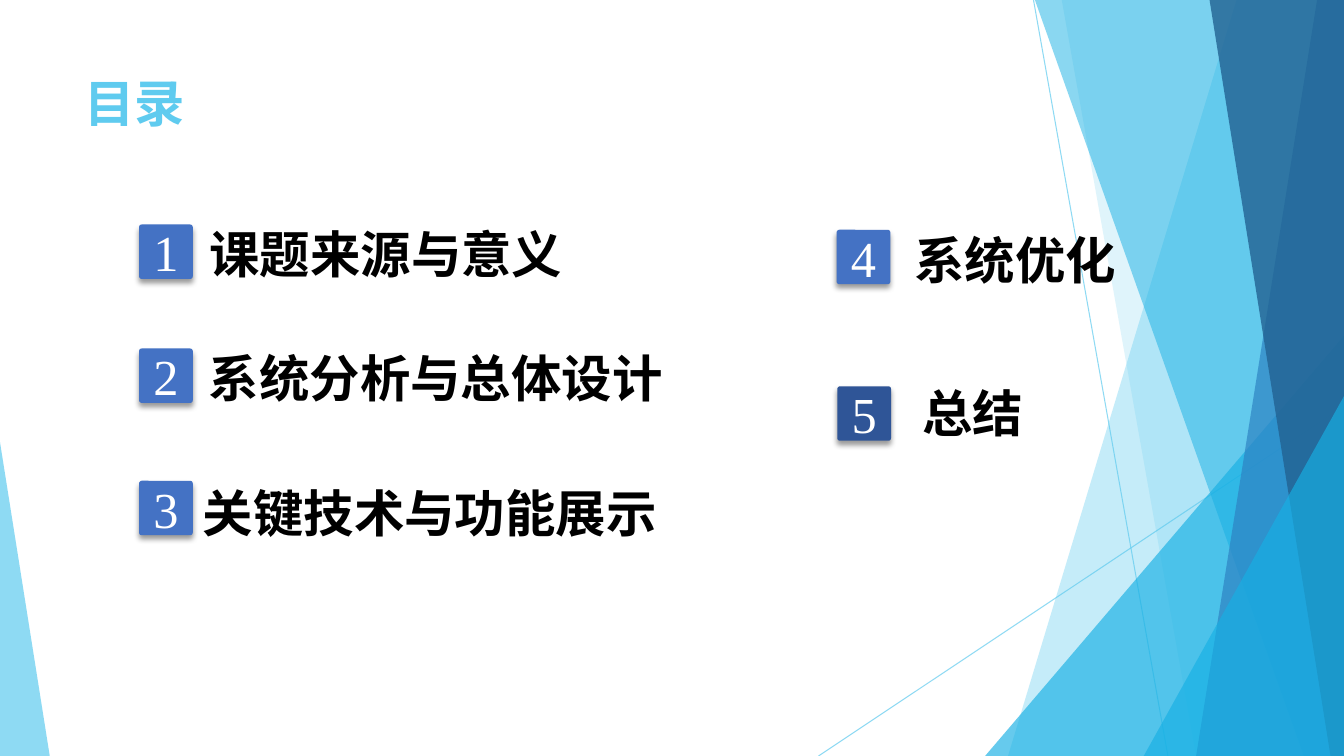
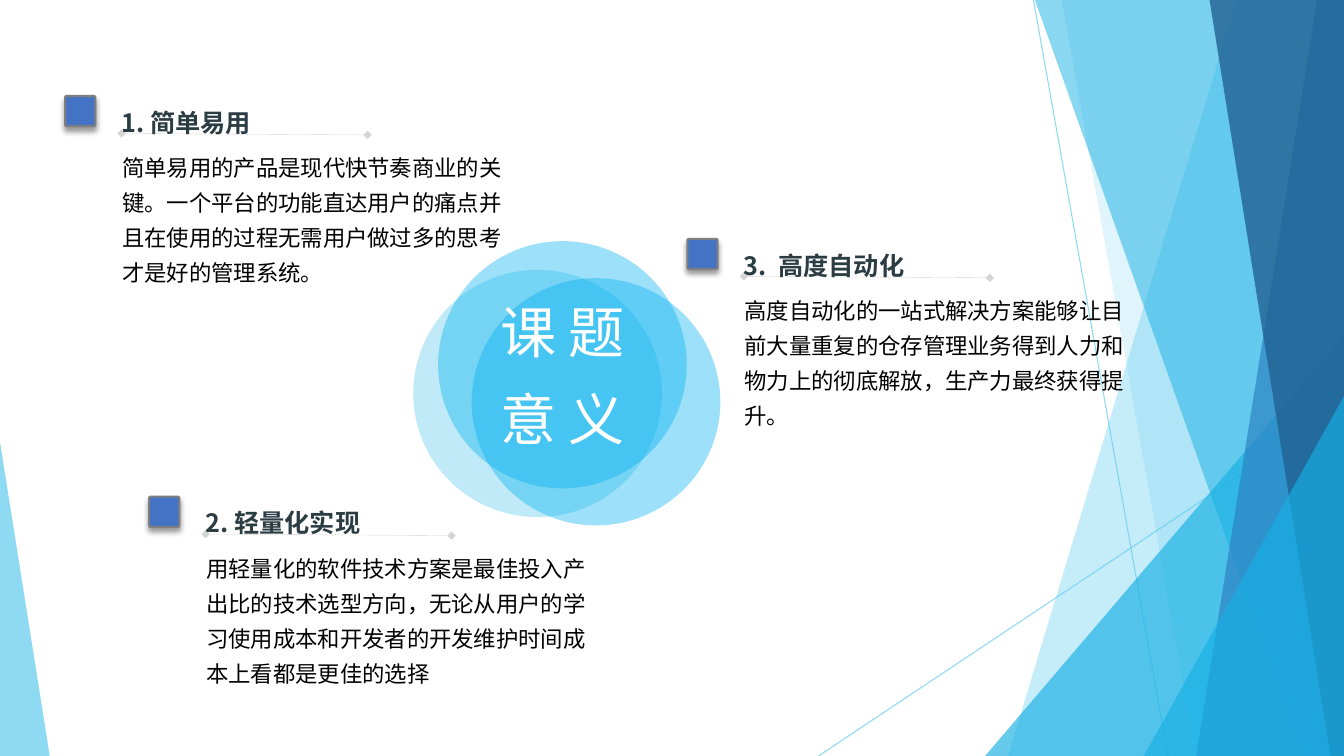
from pptx import Presentation
from pptx import util as u
from pptx.dml.color import RGBColor
from pptx.enum import shapes, text
from pptx.oxml import parse_xml
from pptx.oxml.ns import nsdecls, qn

SKY = RGBColor(0x5F, 0xCB, 0xEF)
CYAN = RGBColor(0x17, 0xB0, 0xE4)
AZURE = RGBColor(0x00, 0xB0, 0xF0)
STEEL = RGBColor(0x2E, 0x83, 0xC3)
NAVY = RGBColor(0x22, 0x62, 0x92)
BADGE = RGBColor(0x44, 0x72, 0xC4)
BADGE_DARK = RGBColor(0x2F, 0x55, 0x97)
SLATE = RGBColor(0x2C, 0x3C, 0x43)
GREY = RGBColor(0x80, 0x80, 0x80)
BLACK = RGBColor(0, 0, 0)
WHITE = RGBColor(0xFF, 0xFF, 0xFF)

HANS = "Noto Sans CJK SC"
TITLE = dict(size=u.Pt(36), name=HANS, bold=True)
HEADING = dict(size=u.Pt(18), name=HANS, bold=True)
BODY = dict(size=u.Pt(16), name=HANS)
HUB = dict(size=u.Pt(40), name=HANS)
NUMBER = dict(size=u.Pt(36), name="Times New Roman")

# The grid has 100 columns and 100 rows
deck = Presentation()
deck.slide_width, deck.slide_height = u.Inches(13.33), u.Inches(7.5)
COL, ROW = deck.slide_width / 100, deck.slide_height / 100


def paint(shape, fill, colour, opacity=100):
    fill.solid()
    fill.fore_color.rgb = colour
    if opacity < 100:
        tone = next(shape.element.spPr.iter(qn("a:srgbClr")))
        tone.append(parse_xml(f'<a:alpha {nsdecls("a")} val="{opacity * 1000}"/>'))


def write(frame, words, look, colour, **layout):
    para = frame.paragraphs[0]
    for key, value in layout.items():
        setattr(para, key, value)
    span = para.add_run()
    span.text = words
    for key, value in look.items():
        setattr(span.font, key, value)
    span.font.color.rgb = colour
    span.font._element.append(
        parse_xml(f'<a:ea {nsdecls("a")} typeface="{look["name"]}"/>'))


contents, meaning = pages = [
    deck.slides.add_slide(deck.slide_layouts[6]) for _ in range(2)]

# Shared backdrop, back to front: slanted bands (top x, bottom x)
# and triangles (left, top, width, apex)
BEAMS = [(76.9, 0, 86.9, 100), (100, 53.7, 60.9, 100)]
FACETS = [
    ("band", (92.1, 75.3), SKY, 36),
    ("band", (78.8, 88.75), SKY, 20),
    ("triangle", (73.3, 44.4, 26.7, 1), CYAN, 66),
    ("band", (76.6, 96.85), CYAN, 50),
    ("band", (97.75, 89.4), STEEL, 70),
    ("band", (89.7, 98.9), NAVY, 80),
    ("triangle", (85.1, 52.4, 14.9, 1), CYAN, 66),
    ("triangle", (0, 58.5, 3.7, 0), SKY, 70),
]
for page in pages:
    for x1, y1, x2, y2 in BEAMS:
        beam = page.shapes.add_connector(
            shapes.MSO_CONNECTOR.STRAIGHT,
            *(int(v) for v in (x1 * COL, y1 * ROW, x2 * COL, y2 * ROW)))
        beam.line.width = u.Pt(0.75)
        paint(beam, beam.line.fill, SKY, 70)
    for kind, place, colour, opacity in FACETS:
        if kind == "band":
            top, bottom = place
            outline = page.shapes.build_freeform(top, 0, scale=(COL, ROW))
            outline.add_line_segments([(100, 0), (100, 100), (bottom, 100)])
            facet = outline.convert_to_shape()
        else:
            left, top, width, apex = place
            facet = page.shapes.add_shape(
                shapes.MSO_SHAPE.ISOSCELES_TRIANGLE, int(left * COL), int(top * ROW),
                int(width * COL), int((100 - top) * ROW))
            facet.adjustments[0] = apex
        facet.shadow.inherit = False
        facet.line.fill.background()
        paint(facet, facet.fill, colour, opacity)

# Contents: title and chapter labels
LABELS = [
    (5.55, 8.9, "目录", SKY),
    (14.85, 28.8, "课题来源与意义", BLACK),
    (14.8, 45.3, "系统分析与总体设计", BLACK),
    (14.35, 63.1, "关键技术与功能展示", BLACK),
    (67.3, 29.7, "系统优化", BLACK),
    (67.9, 49.9, "总结", BLACK),
]
for left, top, words, colour in LABELS:
    box = contents.shapes.add_textbox(
        int(left * COL), int(top * ROW), int(41 * COL), int(9.5 * ROW))
    box.text_frame.word_wrap = True
    write(box.text_frame, words, TITLE, colour)

# Meaning: three overlapping discs, the last one carries the theme
DISCS = [(30.75, 35.7, SKY, ""), (35.1, 36.8, AZURE, ""), (32.6, 31.9, AZURE, "课 题意 义")]
for left, top, colour, words in DISCS:
    disc = meaning.shapes.add_shape(
        shapes.MSO_SHAPE.OVAL, int(left * COL), int(top * ROW),
        int(18.5 * COL), int(32.7 * ROW))
    disc.shadow.inherit = False
    disc.line.fill.background()
    paint(disc, disc.fill, colour, 39)
    if words:
        disc.text_frame.vertical_anchor = text.MSO_ANCHOR.MIDDLE
        write(disc.text_frame, words, HUB, WHITE,
              alignment=text.PP_ALIGN.CENTER, line_spacing=1.3)

# Meaning: each point has a heading, a rule and a body beside its badge
POINTS = [
    (4.85, 12.7, "1. 简单易用",
     "简单易用的产品是现代快节奏商业的关键。一个平台的功能直达用户的痛点并且在使用的过程无需用户做过多的思考才是好的管理系统。"),
    (11.1, 65.7, "2. 轻量化实现",
     "用轻量化的软件技术方案是最佳投入产出比的技术选型方向，无论从用户的学习使用成本和开发者的开发维护时间成本上看都是更佳的选择"),
    (51.15, 31.6, "3.  高度自动化",
     "高度自动化的一站式解决方案能够让目前大量重复的仓存管理业务得到人力和物力上的彻底解放，生产力最终获得提升。"),
]
for left, top, heading, body in POINTS:
    for words, look, colour, dx, dy, width, height in [
            (heading, HEADING, SLATE, 3.45, -0.4, 22, 6.1),
            (body, BODY, BLACK, 3.5, 6, 29.95, 19.6)]:
        box = meaning.shapes.add_textbox(
            int((left + dx) * COL), int((top + dy) * ROW),
            int(width * COL), int(height * ROW))
        box.text_frame.word_wrap = True
        write(box.text_frame, words, look, colour, line_spacing=1.3)
    rule = meaning.shapes.add_connector(
        shapes.MSO_CONNECTOR.STRAIGHT,
        int((left + 4.2) * COL), int((top + 4.95) * ROW),
        int((left + 22.5) * COL), int((top + 5.15) * ROW))
    rule.line.width = u.Pt(0.25)
    paint(rule, rule.line.fill, GREY, 33)
    for end in ("headEnd", "tailEnd"):
        rule.line._ln.append(parse_xml(f'<a:{end} {nsdecls("a")} type="diamond"/>'))

# Badges: numbered on the contents page, small and outlined beside the points
BADGES = [
    (contents, 10.35, 29.7, 4, 7.2, BADGE, "1"),
    (contents, 10.35, 46.1, 4, 7.2, BADGE, "2"),
    (contents, 10.35, 63.6, 4, 7.2, BADGE, "3"),
    (contents, 62.25, 30.4, 4, 7.2, BADGE, "4"),
    (contents, 62.3, 51.1, 4, 7.2, BADGE_DARK, "5"),
] + [(meaning, left, top, 2.25, 4, BADGE, "") for left, top, *_ in POINTS]
for page, left, top, width, height, colour, number in BADGES:
    badge = page.shapes.add_shape(
        shapes.MSO_SHAPE.ROUNDED_RECTANGLE, int(left * COL), int(top * ROW),
        int(width * COL), int(height * ROW))
    badge.adjustments[0] = 0.05
    paint(badge, badge.fill, colour)
    if number:
        badge.line.fill.background()
        badge.text_frame.vertical_anchor = text.MSO_ANCHOR.MIDDLE
        write(badge.text_frame, number, NUMBER, WHITE, alignment=text.PP_ALIGN.CENTER)
    else:
        badge.line.width = u.Pt(1.5)
        badge.line.color.rgb = RGBColor(0x7F, 0x7F, 0x7F)
    badge.shadow.inherit = False
    badge.element.spPr.find(qn("a:effectLst")).append(parse_xml(
        f'<a:outerShdw {nsdecls("a")} blurRad="{u.Pt(4)}" dist="{u.Pt(3)}" dir="5400000">'
        '<a:srgbClr val="000000"><a:alpha val="40000"/></a:srgbClr></a:outerShdw>'))

# Lines cast no shadow
for page in pages:
    for line in page.element.iter(qn("p:cxnSp")):
        line.spPr.append(parse_xml(f'<a:effectLst {nsdecls("a")}/>'))

deck.save("out.pptx")
